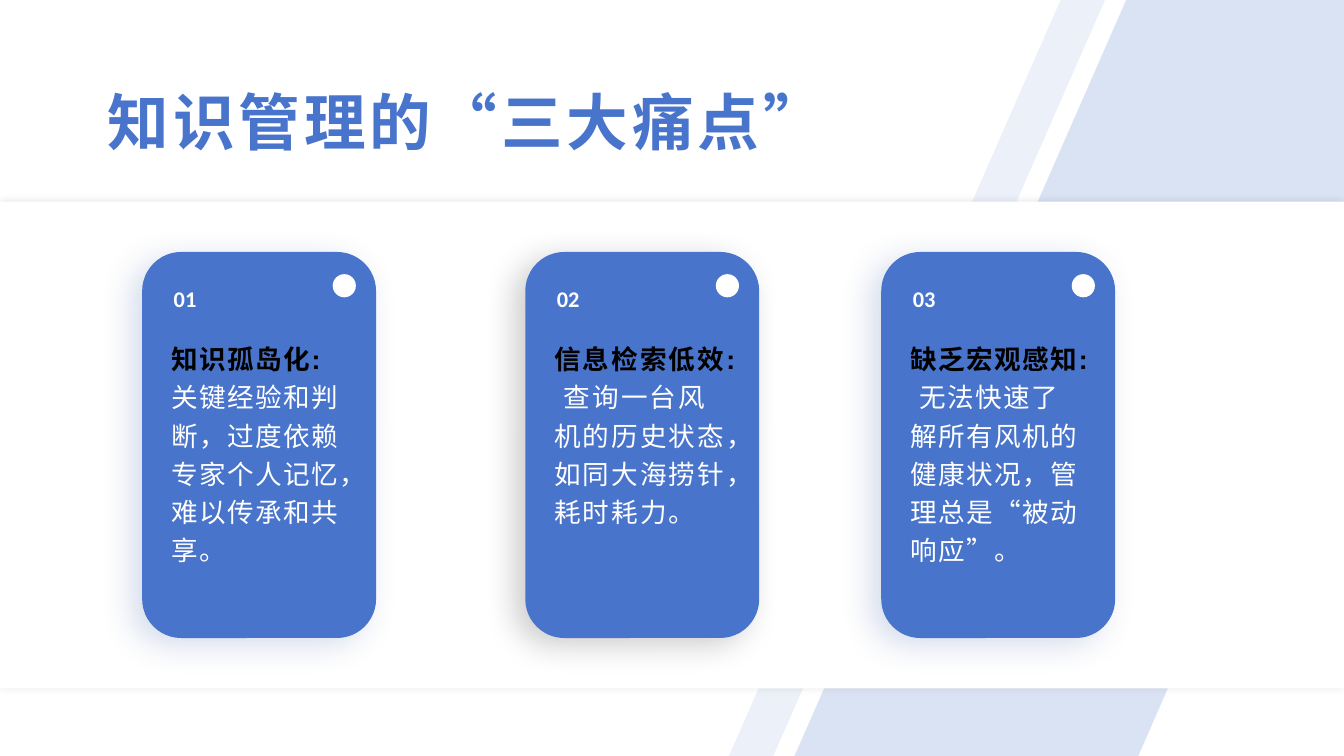
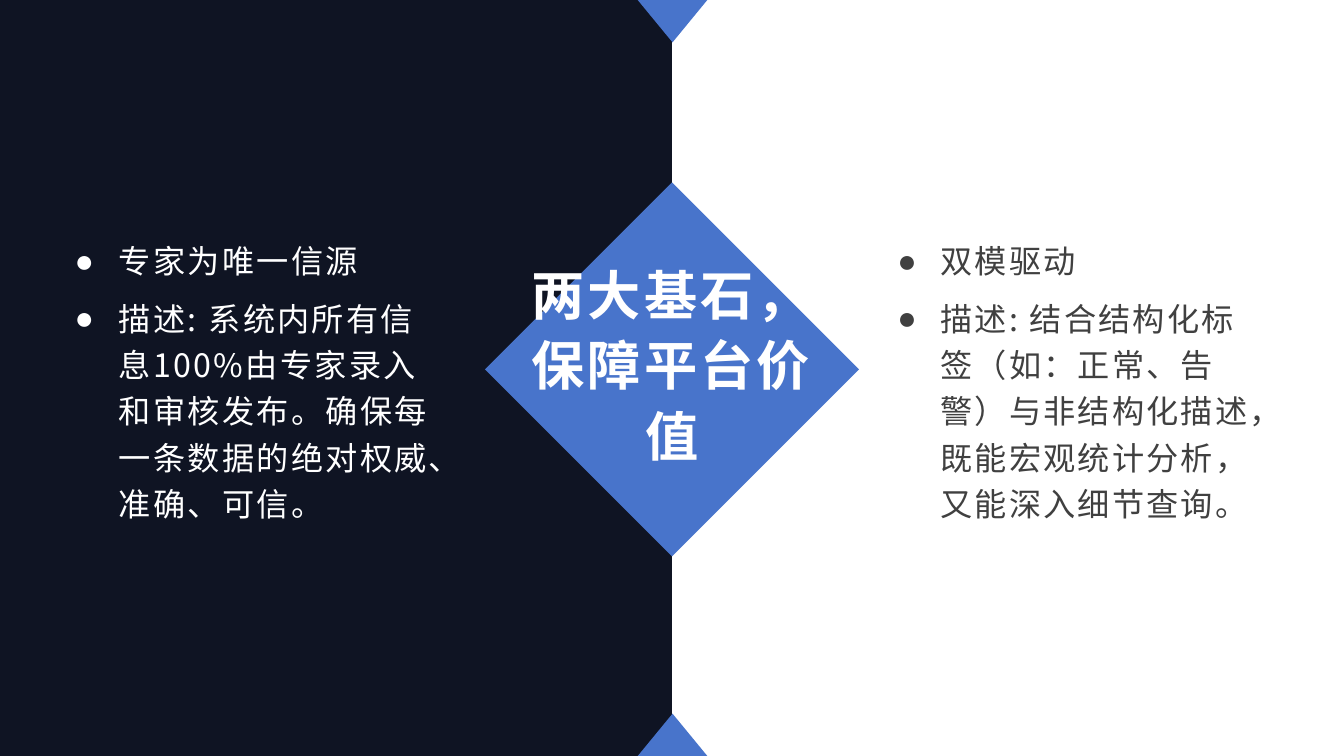
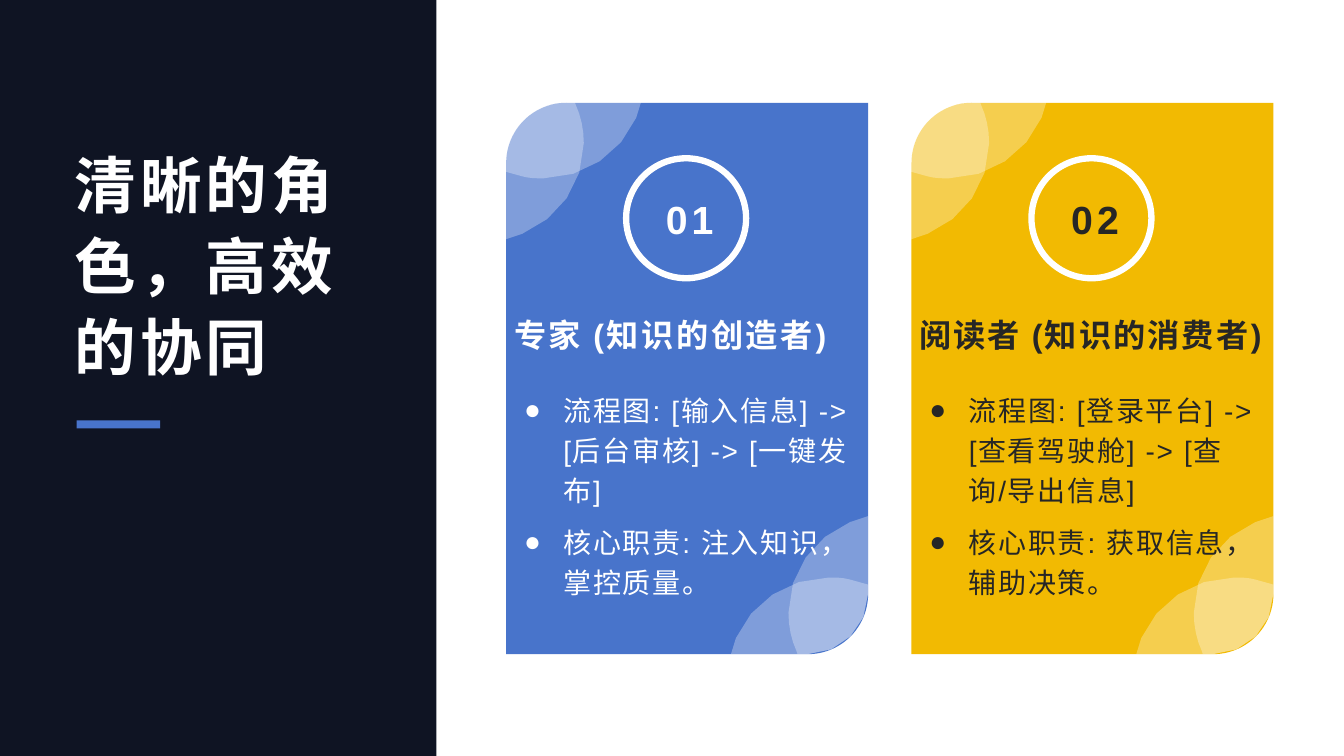
from lxml import etree
from pptx import Presentation
from pptx.dml.color import RGBColor
from pptx.enum import shapes, text
from pptx.oxml import ns
from pptx.util import Inches, Pt

BLUE = RGBColor(0x48, 0x74, 0xCB)
DEEP_BLUE = RGBColor(0x2E, 0x54, 0xA1)
NAVY = RGBColor(0x0F, 0x14, 0x23)
GOLD = RGBColor(0xF2, 0xBA, 0x02)
WHITE = RGBColor(0xFF, 0xFF, 0xFF)
BLACK = RGBColor(0, 0, 0)
NEAR_BLACK = RGBColor(0x0D, 0x0D, 0x0D)
INK = RGBColor(0x26, 0x26, 0x26)
GRAY = RGBColor(0x40, 0x40, 0x40)

CJK_FONT = "Noto Sans CJK SC"
WIDTH, HEIGHT = 13.33, 7.5
TIGHT = (0.07, 0.03)
KIND = shapes.MSO_SHAPE
ALIGN = text.PP_ALIGN
ANCHOR = text.MSO_ANCHOR

# Decorative petals, relative to a card's top-left corner.
# Two numbers make a straight segment, six a Bezier curve.
CORNER = (0, 0.27, 0.27, 0, 0.6, 0)
WIDE_PETAL = [(0.6, 0), (1.36, 0), (1.31, 0.16),
              (1.16, 0.51, 0.8, 0.76, 0.39, 0.76),
              (0.32, 0.76, 0.25, 0.76, 0.18, 0.74),
              (0, 0.69), (0, 0.6), CORNER]
TALL_PETAL = [(0.6, 0), (0.7, 0), (0.71, 0.03),
              (0.76, 0.14, 0.79, 0.27, 0.79, 0.41),
              (0.79, 0.82, 0.54, 1.16, 0.18, 1.31),
              (0, 1.37), (0, 0.6), CORNER]


# Text
def write_text(shape, paragraphs, size, color, font=CJK_FONT, bold=False,
               spacing=0, align=ALIGN.LEFT, anchor=ANCHOR.MIDDLE, line=1.0,
               after=0, indent=0, insets=(0.1, 0.05)):
    """Each paragraph is a list of (text, color, bold) runs or a plain string."""
    frame = shape.text_frame
    frame.word_wrap = True
    frame.auto_size = text.MSO_AUTO_SIZE.NONE
    frame.vertical_anchor = anchor
    frame.margin_left = frame.margin_right = Inches(insets[0])
    frame.margin_top = frame.margin_bottom = Inches(insets[1])
    for index, content in enumerate(paragraphs):
        paragraph = frame.add_paragraph() if index else frame.paragraphs[0]
        if indent:
            add_bullet(paragraph, indent)
        paragraph.alignment = align
        paragraph.line_spacing = line
        paragraph.space_before = Pt(0)
        paragraph.space_after = Pt(after)
        runs = [(content, color, bold)] if isinstance(content, str) else content
        for words, run_color, run_bold in runs:
            run = paragraph.add_run()
            run.text = words
            run.font.size = Pt(size)
            run.font.name = font
            run.font.bold = run_bold
            run.font.color.rgb = run_color
            properties = run.font._element
            properties.set("spc", str(round(spacing * 100)))
            etree.SubElement(properties, ns.qn("a:ea"), typeface=CJK_FONT)


def add_bullet(paragraph, indent):
    properties = paragraph._p.get_or_add_pPr()
    properties.set("marL", str(Inches(indent)))
    properties.set("indent", str(-Inches(indent)))
    etree.SubElement(properties, ns.qn("a:buFont"), typeface="Arial")
    etree.SubElement(properties, ns.qn("a:buChar"), char="●")


def add_text(slide, box, paragraphs, **style):
    shape = slide.shapes.add_textbox(*map(Inches, box))
    write_text(shape, paragraphs, **style)


def place_title(slide, box, words, **style):
    """Move the title placeholder above everything drawn so far."""
    title = slide.shapes.title
    title.left, title.top, title.width, title.height = map(Inches, box)
    title.element.getparent().append(title.element)
    write_text(title, [words], bold=True, insets=TIGHT, **style)


# Shapes
def paint(shape, fill, opacity=100):
    shape.shadow.inherit = False
    shape.line.fill.background()
    if fill is None:
        shape.fill.background()
        return
    shape.fill.solid()
    shape.fill.fore_color.rgb = fill
    if opacity < 100:
        color = shape.element.spPr.find(".//" + ns.qn("a:srgbClr"))
        etree.SubElement(color, ns.qn("a:alpha"), val=str(opacity * 1000))


def add_shape(slide, kind, box, fill=None):
    shape = slide.shapes.add_shape(kind, *map(Inches, box))
    paint(shape, fill)
    return shape


def add_shadow(shape, color, opacity, blur, distance=0, angle=0):
    effects = shape.element.spPr.find(ns.qn("a:effectLst"))
    shadow = etree.SubElement(
        effects, ns.qn("a:outerShdw"), blurRad=str(Pt(blur)),
        dist=str(Pt(distance)), dir=str(angle * 60000),
        algn="ctr", rotWithShape="0")
    tint = etree.SubElement(shadow, ns.qn("a:srgbClr"), val=str(color))
    etree.SubElement(tint, ns.qn("a:alpha"), val=str(opacity * 1000))


def add_outline(slide, points, fill, opacity):
    points = [(Inches(x), Inches(y)) for x, y in points]
    builder = slide.shapes.build_freeform(*points[0], scale=1.0)
    builder.add_line_segments(points[1:], close=True)
    paint(builder.convert_to_shape(), fill, opacity)


def trace(segments, steps=4):
    """Turn straight and Bezier segments into a list of points."""
    points = []
    for segment in segments:
        if len(segment) == 2:
            points.append(segment)
            continue
        start = points[-1]
        controls = [start, segment[:2], segment[2:4], segment[4:]]
        for step in range(1, steps + 1):
            t = step / steps
            weights = ((1 - t) ** 3, 3 * t * (1 - t) ** 2,
                       3 * t ** 2 * (1 - t), t ** 3)
            points.append(tuple(
                sum(w * point[axis] for w, point in zip(weights, controls))
                for axis in (0, 1)))
    return points[:-1]


# Slide 1: three pain points
def add_pain_card(slide, left, number, heading, body, spacing, shadow):
    top = 2.5
    card = add_shape(slide, KIND.ROUNDED_RECTANGLE, (left, top, 2.32, 3.83), BLUE)
    add_shadow(card, shadow, 20, 23, 9, 150)
    add_text(slide, (left + 0.19, top + 0.79, 1.94, 2.86),
             [[(heading, BLACK, True), (body, WHITE, False)]],
             size=19, color=WHITE, font="Arial", spacing=spacing,
             anchor=ANCHOR.TOP, line=1.2, after=8)
    add_text(slide, (left + 0.13, top + 0.28, 0.59, 0.36), [number], size=16,
             color=WHITE, font="Calibri", bold=True, align=ALIGN.CENTER)
    add_shape(slide, KIND.OVAL, (left + 1.89, top + 0.22, 0.23, 0.23), WHITE)


def build_pain_points(slide):
    add_outline(slide, [(10.52, 0), (10.96, 0), (7.67, HEIGHT), (7.23, HEIGHT)],
                BLUE, 10)
    add_outline(slide, [(11.17, 0), (WIDTH, 0), (WIDTH, 2.83),
                        (11.29, HEIGHT), (7.88, HEIGHT)], BLUE, 20)
    panel = add_shape(slide, KIND.RECTANGLE, (0, 2, WIDTH, 4.83), WHITE)
    add_shadow(panel, NEAR_BLACK, 10, 5)
    place_title(slide, (1, 0.83, 8.67, 0.83), "知识管理的“三大痛点”",
                size=44, color=BLUE, spacing=2.8, line=0.9)
    cards = [
        (1.41, "01", "知识孤岛化: ",
         "关键经验和判断，过度依赖专家个人记忆，难以传承和共享。", 1.1, DEEP_BLUE),
        (5.21, "02", "信息检索低效: ",
         "查询一台风机的历史状态，如同大海捞针，耗时耗力。", 1.5, BLACK),
        (8.74, "03", "缺乏宏观感知:",
         " 无法快速了解所有风机的健康状况，管理总是“被动响应”。", 1.1, DEEP_BLUE),
    ]
    for card in cards:
        add_pain_card(slide, *card)


# Slide 2: two cornerstones
def build_cornerstones(slide):
    middle = WIDTH / 2
    add_shape(slide, KIND.RECTANGLE, (0, 0, middle, HEIGHT), NAVY)
    for top, turn in ((0, 180), (HEIGHT - 0.42, 0)):
        triangle = add_shape(slide, KIND.ISOSCELES_TRIANGLE,
                             (middle - 0.34, top, 0.69, 0.42), BLUE)
        triangle.rotation = turn
    add_shape(slide, KIND.DIAMOND, (4.81, 1.81, 3.71, 3.71), BLUE)
    place_title(slide, (5.17, 2.5, 3, 2.17), "两大基石，保障平台价值",
                size=38, color=WHITE, spacing=2.2, line=1.1, align=ALIGN.CENTER)
    columns = [
        (0.67, WHITE, 1.6, 0.44, [
            "专家为唯一信源",
            "描述: 系统内所有信息100%由专家录入和审核发布。"
            "确保每一条数据的绝对权威、准确、可信。"]),
        (8.83, GRAY, 1.5, 0.43, [
            "双模驱动",
            "描述: 结合结构化标签（如：正常、告警）与非结构化描述，"
            "既能宏观统计分析，又能深入细节查询。"]),
    ]
    for left, color, spacing, indent, items in columns:
        add_text(slide, (left, 1.97, 3.83, 3.57), items, size=23, color=color,
                 spacing=spacing, indent=indent, line=1.2, after=8, insets=TIGHT)


# Slide 3: roles
def add_role_card(slide, left, fill, color, number, heading, spacing, items):
    top, right, bottom = 1.02, left + 3.59, 6.49
    add_shape(slide, KIND.ROUND_2_DIAG_RECTANGLE,
              (left, top, right - left, bottom - top), fill)
    for corner_x, corner_y, sign in ((left - 0.02, top - 0.01, 1),
                                     (right, bottom, -1)):
        for petal in (WIDE_PETAL, TALL_PETAL):
            add_outline(slide, [(corner_x + sign * x, corner_y + sign * y)
                                for x, y in trace(petal)], WHITE, 30)
    ring = add_shape(slide, KIND.OVAL, (left + 1.19, 1.57, 1.19, 1.19))
    ring.line.color.rgb = WHITE
    ring.line.width = Pt(4.5)
    add_text(slide, (left + 1.2, 1.68, 1.24, 0.98), [number], size=28,
             color=color, font="Arial", bold=True, spacing=3, align=ALIGN.CENTER)
    add_text(slide, (left + 0.08, 3.77, 3.43, 2.24), items, size=20, color=color,
             font="Arial", spacing=1.2, indent=0.39, line=1.2, after=8)
    add_text(slide, (left - 0.02, 2.91, 3.64, 0.82), [heading], size=23,
             color=color, font="Arial", bold=True, spacing=spacing)


def build_roles(slide):
    add_shape(slide, KIND.RECTANGLE, (0, 0, 4.33, HEIGHT), NAVY)
    place_title(slide, (0.67, 1.33, 3, 2.5), "清晰的角色，高效的协同",
                size=44, color=WHITE, spacing=2.8, line=1.1,
                anchor=ANCHOR.BOTTOM)
    add_role_card(slide, 5.02, BLUE, WHITE, "01", "专家 (知识的创造者)", 1.8,
                  ["流程图: [输入信息] -> [后台审核] -> [一键发布]",
                   "核心职责: 注入知识，掌控质量。"])
    add_role_card(slide, 9.04, GOLD, INK, "02", "阅读者 (知识的消费者)", 1.5,
                  ["流程图: [登录平台] -> [查看驾驶舱] -> [查询/导出信息]",
                   "核心职责: 获取信息，辅助决策。"])
    add_shape(slide, KIND.RECTANGLE, (0.76, 4.17, 0.83, 0.08), BLUE)


def main():
    presentation = Presentation()
    presentation.slide_width = Inches(WIDTH)
    presentation.slide_height = Inches(HEIGHT)
    title_only = presentation.slide_layouts[5]
    for build in (build_pain_points, build_cornerstones, build_roles):
        build(presentation.slides.add_slide(title_only))
    presentation.save("out.pptx")


if __name__ == "__main__":
    main()
